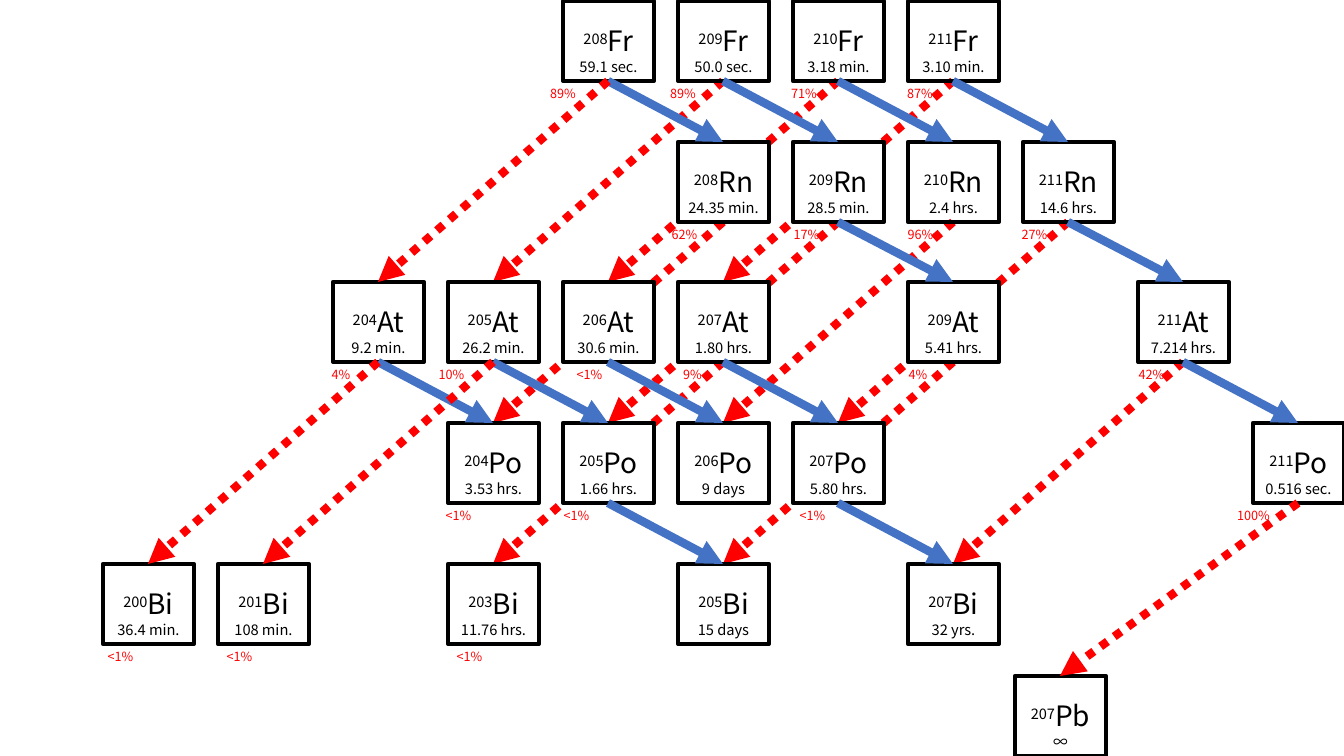
from dataclasses import dataclass

from lxml import etree
from pptx import Presentation
from pptx import util as u
from pptx.dml.color import RGBColor
from pptx.enum import dml, shapes, text
from pptx.oxml.ns import qn

EMU_PER_PX = 914400 / 100.8
PITCH = 115
BOX_W, BOX_H = 91, 80
LABEL_H = 25


@dataclass(frozen=True)
class Theme:
    """Colours, font and type sizes of the chart."""
    font: str = "Noto Sans CJK JP"
    ink: str = "000000"
    paper: str = "FFFFFF"
    alpha: str = "FF0000"
    capture: str = "4472C4"
    mass_size: float = 18
    symbol_size: float = 20
    life_size: float = 10.5
    label_size: float = 9
    border: float = 3
    arrow: float = 6


THEME = Theme()

# Each element: top of its row, left of its first column, mass in that column
ELEMENTS = {
    "Fr": (1, 103, 204),
    "Rn": (142, 103, 203),
    "At": (282, 103, 202),
    "Po": (423, 103, 201),
    "Bi": (564, 103, 200),
    "Pb": (676, 95, 199),
}
SYMBOLS = list(ELEMENTS)

# Nuclide: half-life, then the alpha share with its left edge and width
NUCLIDES = {
    ("Fr", 208): ("59.1 sec.", ("89%", 540, 46)),
    ("Fr", 209): ("50.0 sec.", ("89%", 660, 46)),
    ("Fr", 210): ("3.18 min.", ("71%", 781, 46)),
    ("Fr", 211): ("3.10 min.", ("87%", 897, 46)),
    ("Rn", 208): ("24.35 min.", ("62%", 658, 53)),
    ("Rn", 209): ("28.5 min.", ("17%", 780, 53)),
    ("Rn", 210): ("2.4 hrs.", ("96%", 894, 53)),
    ("Rn", 211): ("14.6 hrs.", ("27%", 1008, 53)),
    ("At", 204): ("9.2 min.", ("4%", 322, 38)),
    ("At", 205): ("26.2 min.", ("10%", 428, 47)),
    ("At", 206): ("30.6 min.", ("<1%", 564, 51)),
    ("At", 207): ("1.80 hrs.", ("9%", 672, 41)),
    ("At", 209): ("5.41 hrs.", ("4%", 899, 38)),
    ("At", 211): ("7.214 hrs.", ("42%", 1125, 53)),
    ("Po", 204): ("3.53 hrs.", ("<1%", 433, 51)),
    ("Po", 205): ("1.66 hrs.", ("<1%", 551, 51)),
    ("Po", 206): ("9 days", None),
    ("Po", 207): ("5.80 hrs.", ("<1%", 787, 51)),
    ("Po", 211): ("0.516 sec.", ("100%", 1223, 61)),
    ("Bi", 200): ("36.4 min.", ("<1%", 95, 51)),
    ("Bi", 201): ("108 min.", ("<1%", 214, 51)),
    ("Bi", 203): ("11.76 hrs.", ("<1%", 444, 51)),
    ("Bi", 205): ("15 days", None),
    ("Bi", 207): ("32 yrs.", None),
    ("Pb", 207): ("∞", None),
}
# Boxes that hide the arrows passing behind them
OPAQUE = {("Rn", 208), ("Rn", 209), ("At", 206), ("At", 207), ("At", 209),
          ("Po", 205), ("Po", 207), ("Pb", 207)}
# Parents whose alpha arrow lies above the boxes
ALPHA_IN_FRONT = {("Fr", 208), ("At", 204), ("At", 205), ("Po", 211)}


def px(n):
    """Turn pixels into EMU, rounding down to stay on the slide."""
    return u.Emu(int(n * EMU_PER_PX))


def rgb(value):
    """Turn a hex string into a colour."""
    return RGBColor.from_string(value)


def add_run(p, content, *, size, color=THEME.ink, raised=False):
    """Append formatted text to a centred paragraph."""
    p.alignment = text.PP_ALIGN.CENTER
    r = p.add_run()
    r.text = content
    r.font.name = THEME.font
    r.font.size = u.Pt(size)
    r.font.color.rgb = rgb(color)
    if raised:
        r.font._element.set("baseline", "30000")


def corner(nuclide):
    """Give the left and top of a nuclide's box."""
    symbol, mass = nuclide
    top, left, first_mass = ELEMENTS[symbol]
    return left + PITCH * (mass - first_mass), top


def add_nuclide(s, nuclide, half_life):
    """Draw a box with mass number, symbol and half-life."""
    symbol, mass = nuclide
    left, top = corner(nuclide)
    sp = s.shapes.add_shape(shapes.MSO_SHAPE.RECTANGLE,
                            px(left), px(top), px(BOX_W), px(BOX_H))
    sp.shadow.inherit = False
    if nuclide in OPAQUE:
        sp.fill.solid()
        sp.fill.fore_color.rgb = rgb(THEME.paper)
    else:
        sp.fill.background()
    sp.line.color.rgb = rgb(THEME.ink)
    sp.line.width = u.Pt(THEME.border)
    tf = sp.text_frame
    tf.word_wrap = True
    tf.vertical_anchor = text.MSO_ANCHOR.BOTTOM
    tf.margin_left = tf.margin_right = tf.margin_top = 0
    tf.margin_bottom = px(6)
    p = tf.paragraphs[0]
    add_run(p, str(mass), size=THEME.mass_size, raised=True)
    add_run(p, symbol, size=THEME.symbol_size)
    add_run(tf.add_paragraph(), half_life, size=THEME.life_size)


def add_share(s, nuclide, share, left, width):
    """Write the alpha share just under a nuclide's box."""
    top = corner(nuclide)[1] + BOX_H
    sp = s.shapes.add_textbox(px(left), px(top), px(width), px(LABEL_H))
    tf = sp.text_frame
    tf.word_wrap = True
    tf.margin_left = tf.margin_right = px(4)
    add_run(tf.paragraphs[0], share, size=THEME.label_size, color=THEME.alpha)


def add_decay(s, parent, daughter, *, color, dotted=False):
    """Draw an arrow from the parent's bottom to the daughter's top."""
    (x1, y1), (x2, y2) = corner(parent), corner(daughter)
    mid = BOX_W // 2
    c = s.shapes.add_connector(shapes.MSO_CONNECTOR.STRAIGHT, px(x1 + mid),
                               px(y1 + BOX_H), px(x2 + mid), px(y2))
    c.line.color.rgb = rgb(color)
    c.line.width = u.Pt(THEME.arrow)
    if dotted:
        c.line.dash_style = dml.MSO_LINE.ROUND_DOT
    etree.SubElement(c.line._get_or_add_ln(), qn("a:tailEnd"), type="triangle")
    etree.SubElement(c._element.spPr, qn("a:effectLst"))


def decays(steps, mass_loss):
    """List parent and daughter pairs that are both on the chart."""
    pairs = []
    for symbol, mass in NUCLIDES:
        if symbol in ("Bi", "Pb"):
            continue
        daughter = (SYMBOLS[SYMBOLS.index(symbol) + steps], mass - mass_loss)
        if daughter in NUCLIDES:
            pairs.append(((symbol, mass), daughter))
    return pairs


def add_alphas(s, in_front):
    """Draw the alpha arrows of one layer."""
    for parent, daughter in decays(steps=2, mass_loss=4):
        if (parent in ALPHA_IN_FRONT) == in_front:
            add_decay(s, parent, daughter, color=THEME.alpha, dotted=True)


def main():
    """Build the decay chart and save it."""
    prs = Presentation()
    prs.slide_width, prs.slide_height = px(1344), px(756)
    s = prs.slides.add_slide(prs.slide_layouts[6])
    add_alphas(s, in_front=False)
    for nuclide, (half_life, _) in NUCLIDES.items():
        add_nuclide(s, nuclide, half_life)
    for parent, daughter in decays(steps=1, mass_loss=0):
        add_decay(s, parent, daughter, color=THEME.capture)
    add_alphas(s, in_front=True)
    for nuclide, (_, label) in NUCLIDES.items():
        if label:
            add_share(s, nuclide, *label)
    prs.save("out.pptx")


main()
